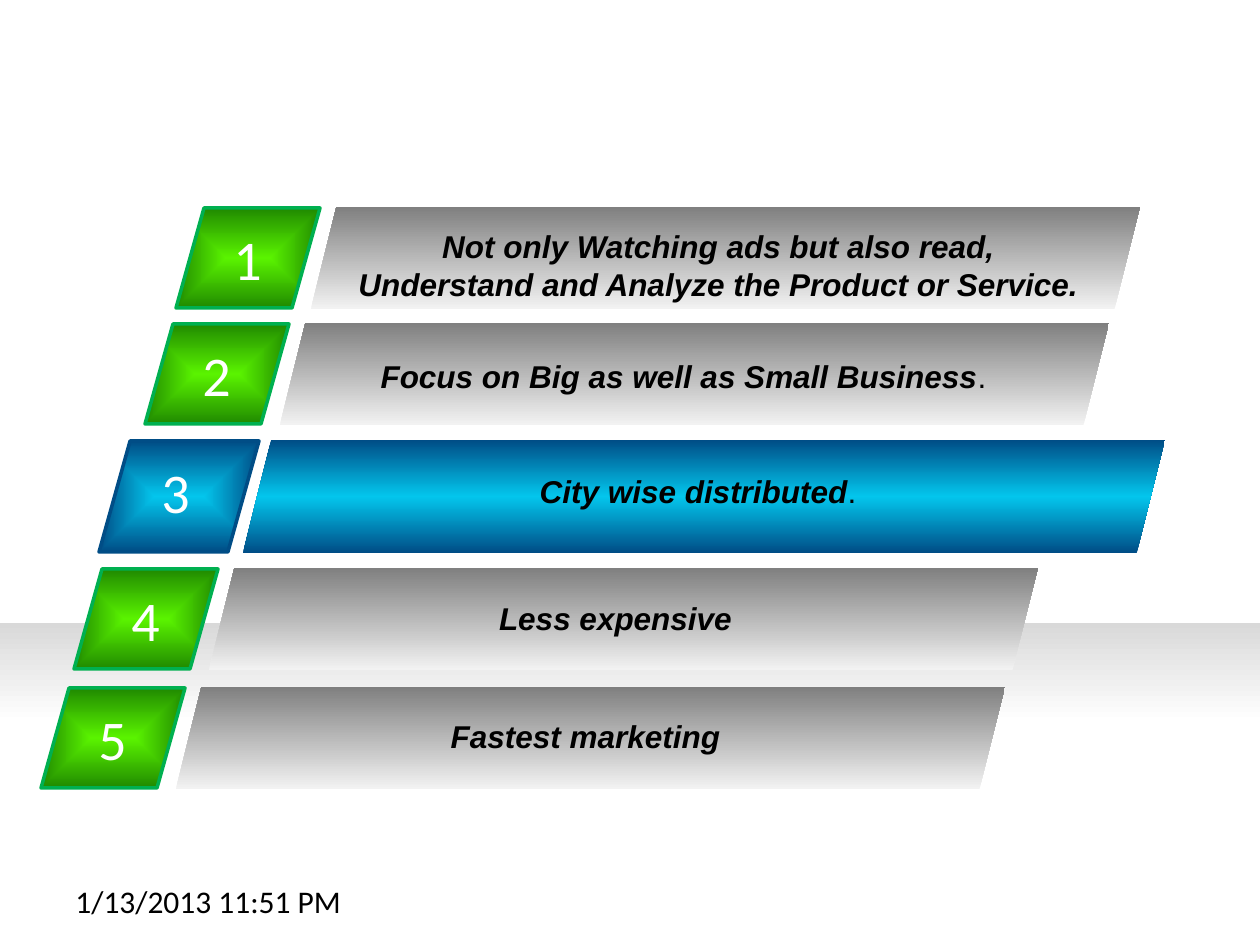
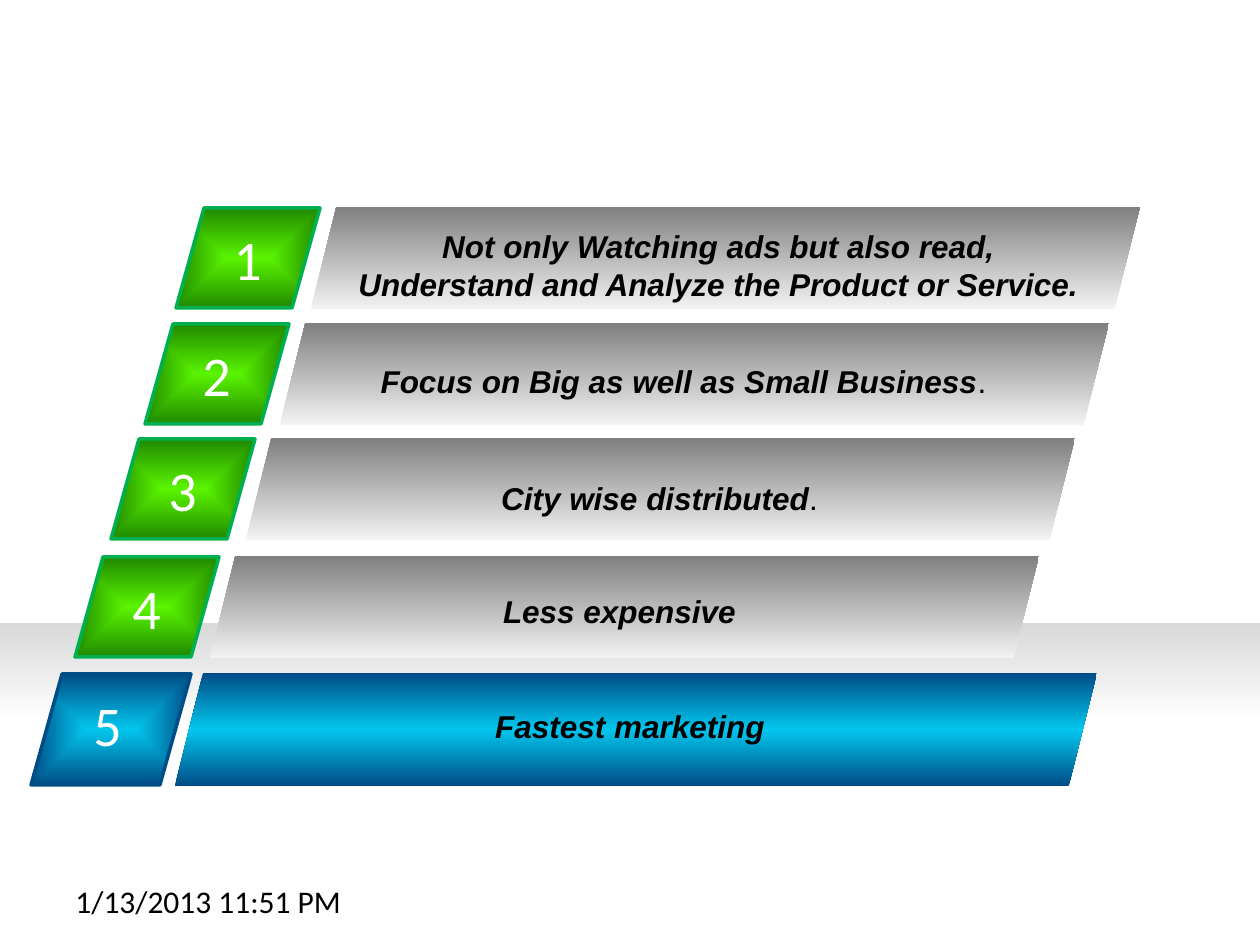
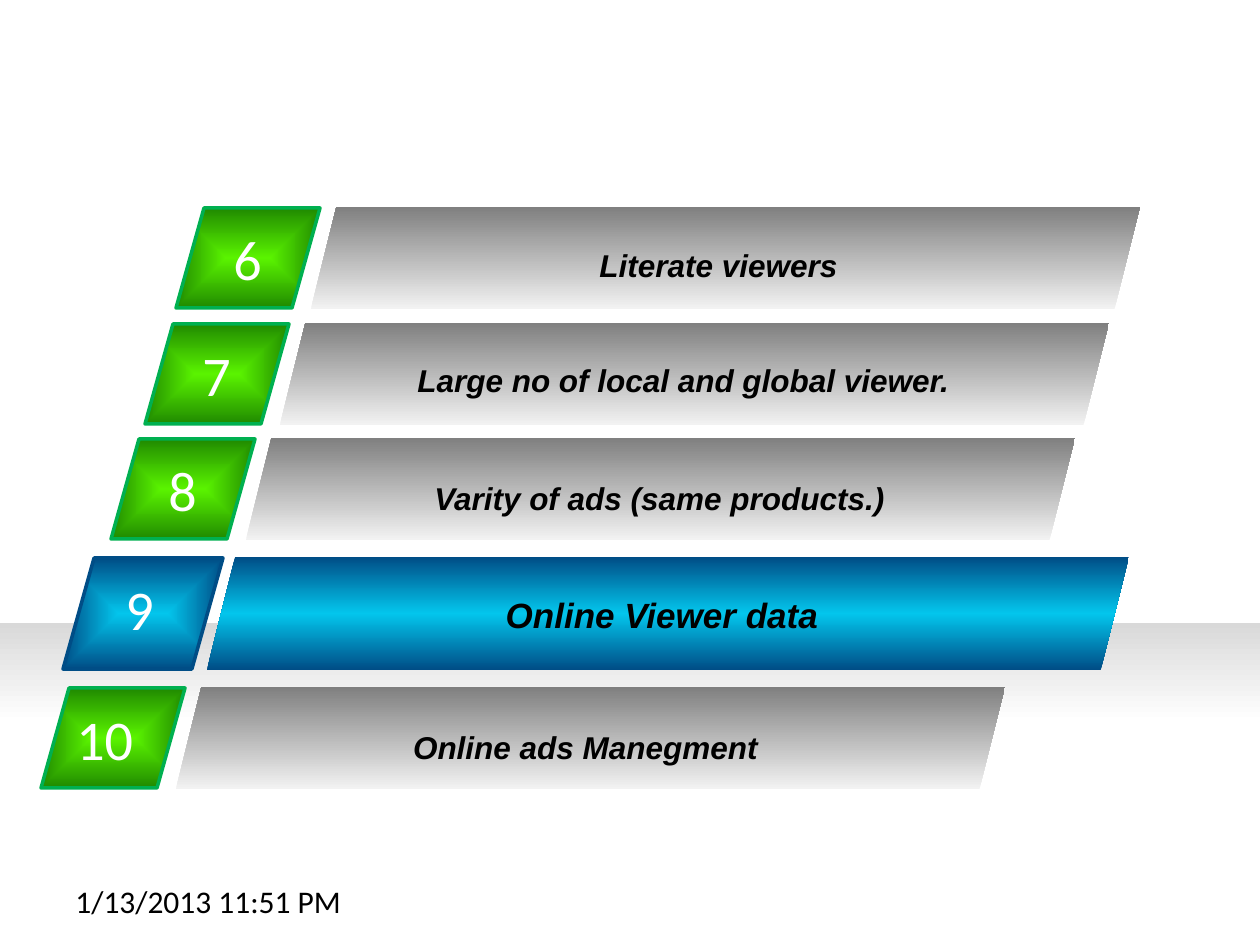
from pptx import Presentation
from pptx.dml.color import RGBColor
from pptx.enum.shapes import MSO_SHAPE
from pptx.enum.text import MSO_AUTO_SIZE, PP_ALIGN
from pptx.oxml import parse_xml
from pptx.oxml.ns import nsdecls, qn
from pptx.util import Emu, Pt

RECT = MSO_SHAPE.RECTANGLE
SLANTED = MSO_SHAPE.PARALLELOGRAM
GROW = MSO_AUTO_SIZE.SHAPE_TO_FIT_TEXT
LEFT = PP_ALIGN.LEFT
CENTER = PP_ALIGN.CENTER

WHITE = RGBColor(0xFF, 0xFF, 0xFF)
BLACK = RGBColor(0x00, 0x00, 0x00)
MIST = RGBColor(0xD9, 0xD9, 0xD9)
PALE = RGBColor(0xF2, 0xF2, 0xF2)
GREY = RGBColor(0x80, 0x80, 0x80)
LIME = RGBColor(0x5A, 0xF3, 0x00)
DARK_GREEN = RGBColor(0x20, 0x8A, 0x00)
GREEN = RGBColor(0x00, 0xB0, 0x50)
CYAN = RGBColor(0x03, 0xC6, 0xED)
NAVY = RGBColor(0x00, 0x4D, 0x86)

EMU_PER_PX = 914400 / 126
UPWARD = '<a:lin ang="16200000" scaled="0"/>'
FROM_CENTER = ('<a:path path="shape"><a:fillToRect l="50000" t="50000" '
               'r="50000" b="50000"/></a:path>')

FLOOR_FILL = [(0, WHITE), (61, WHITE), (100, MIST)]
NORMAL = dict(bar=(829, 102), tile=(144, 100), tile_dx=-135, number=(45, 54),
              label_width=745, bar_fill=[(0, PALE), (100, GREY)],
              tile_fill=[(0, LIME), (100, DARK_GREEN)], edge=GREEN)
ACTIVE = dict(bar=(922, 113), tile=(160, 111), tile_dx=-144, number=(50, 60),
              label_width=828, bar_fill=[(0, NAVY), (50, CYAN), (100, NAVY)],
              tile_fill=[(0, CYAN), (100, NAVY)], edge=NAVY)

FIRST = (311, 207, 35, NORMAL)
SECOND = (280, 323, 31, NORMAL)
THIRD = (246, 438, 41, NORMAL)
FOURTH = (210, 556, 37, NORMAL)
FOURTH_LOWERED = (209, 568, 34, NORMAL)
FIFTH = (176, 687, 37, NORMAL)
ACTIVE_THIRD = (243, 440, 41, ACTIVE)
ACTIVE_FOURTH = (207, 557, 41, ACTIVE)
ACTIVE_FIFTH = (175, 673, 41, ACTIVE)

READING = "Not only Watching ads but also read, Understand and Analyze the Product or Service."
FOCUS = "Focus on Big as well as Small Business"
CITY = "City wise distributed"
CHEAP = "Less expensive"
FAST = "Fastest marketing"

SLIDES = [
    (1, [(FIRST, 14, READING, {}),
         (SECOND, 28, FOCUS, dict(tail=".")),
         (ACTIVE_THIRD, 26, CITY, dict(tail=".")),
         (FOURTH_LOWERED, 25, CHEAP, {}),
         (FIFTH, 24, FAST, {})]),
    (1, [(FIRST, 14, READING, {}),
         (SECOND, 33, FOCUS, dict(tail=".")),
         (THIRD, 35, CITY, dict(tail=".")),
         (FOURTH, 30, CHEAP, {}),
         (ACTIVE_FIFTH, 28, FAST, {})]),
    (6, [(FIRST, 33, "Literate viewers", {}),
         (SECOND, 32, "Large no of local and global viewer.", {}),
         (THIRD, 35, "Varity of ads (same products.)", {}),
         (ACTIVE_FOURTH, 30, "Online Viewer data", dict(size=20)),
         (FIFTH, 35, "Online ads Manegment", {})]),
]


def px(n):
    return Emu(round(n * EMU_PER_PX))


class Deck:
    def __init__(self):
        self.prs = Presentation()
        self.prs.slide_width = px(1260)
        self.prs.slide_height = px(945)

    def slide(self):
        self.s = self.prs.slides.add_slide(self.prs.slide_layouts[6])
        self.shape(RECT, 0, 623, 1260, 255, FLOOR_FILL)
        self.text("1/13/2013 11:51 PM", 63, 876, 294, 50)

    def shape(self, kind, x, y, w, h, stops, direction=UPWARD, edge=None, slant=None):
        sp = self.s.shapes.add_shape(kind, px(x), px(y), px(w), px(h))
        sp.shadow.inherit = False
        if slant:
            sp.adjustments[0] = slant
        sp.fill.gradient()
        marks = "".join(f'<a:gs pos="{pos * 1000}"><a:srgbClr val="{color}"/></a:gs>'
                        for pos, color in stops)
        grad = parse_xml(f'<a:gradFill {nsdecls("a")} rotWithShape="1">'
                         f'<a:gsLst>{marks}</a:gsLst>{direction}</a:gradFill>')
        props = sp._element.spPr
        props.replace(props.find(qn("a:gradFill")), grad)
        if edge is None:
            sp.line.fill.background()
        else:
            sp.line.color.rgb = edge
            sp.line.width = Pt(2)

    def text(self, text, x, y, w, h, size=18, font="Calibri", color=BLACK,
             strong=False, align=LEFT, tail=""):
        tf = self.s.shapes.add_textbox(px(x), px(y), px(w), px(h)).text_frame
        tf.word_wrap = True
        tf.auto_size = GROW
        p = tf.paragraphs[0]
        p.alignment = align
        for part, heavy in ((text, strong), (tail, False)):
            if part:
                r = p.add_run()
                r.text = part
                r.font.name = font
                r.font.size = Pt(size)
                r.font.color.rgb = color
                r.font.bold = r.font.italic = heavy

    def row(self, number, place, label_dy, label, extra):
        x, y, label_dx, look = place
        tile_x = x + look["tile_dx"]
        number_dx, number_width = look["number"]
        if number > 9:
            number_dx, number_width = 23, 111
        self.shape(SLANTED, tile_x, y + 1, *look["tile"], look["tile_fill"],
                   direction=FROM_CENTER, edge=look["edge"], slant=0.28)
        self.text(str(number), tile_x + number_dx, y + 11, number_width, 81,
                  size=32, color=WHITE)
        self.shape(SLANTED, x, y, *look["bar"], look["bar_fill"])
        self.text(label, x + label_dx, y + label_dy, look["label_width"], 50,
                  font="Arial", strong=True, align=CENTER, **extra)


def main():
    deck = Deck()
    for first_number, rows in SLIDES:
        deck.slide()
        for number, row in enumerate(rows, first_number):
            deck.row(number, *row)
    deck.prs.save("out.pptx")


if __name__ == "__main__":
    main()
